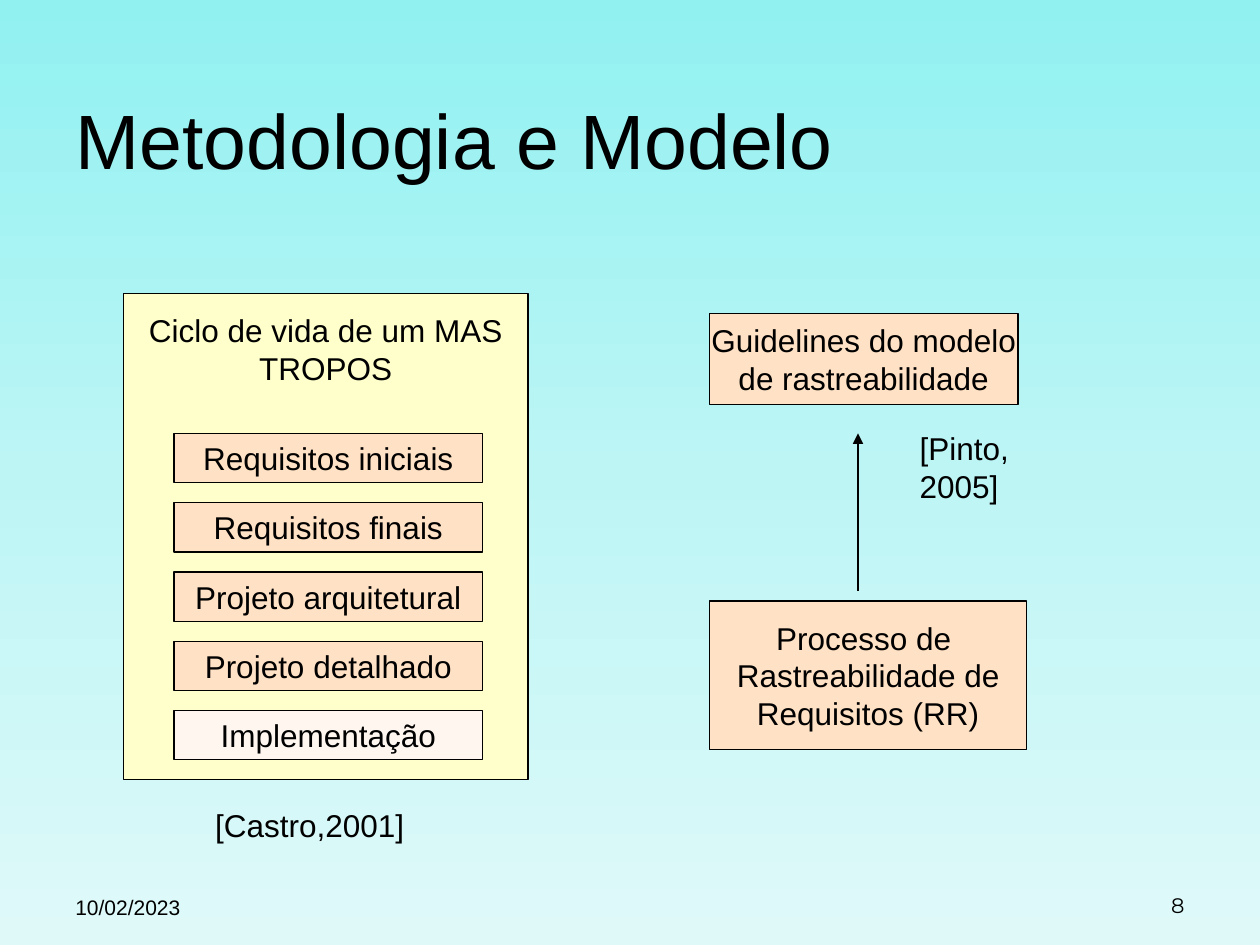
"""Build the slide on the methodology and the traceability model."""
import copy
from dataclasses import dataclass

import pptx
import pptx.dml.color
import pptx.enum.shapes
import pptx.enum.text
import pptx.oxml
import pptx.oxml.ns
import pptx.slide
import pptx.text.text
import pptx.util
from pptx.util import Inches

ALIGN = pptx.enum.text.PP_ALIGN
ANCHOR = pptx.enum.text.MSO_ANCHOR
BLACK = "000000"
PEACH = "FFE2C5"


@dataclass
class Box:
    text: str
    left: float
    top: float
    width: float
    height: float
    fill: str = PEACH
    anchor: ANCHOR = ANCHOR.MIDDLE
    inset: float = 0.05


@dataclass
class Label:
    text: str
    left: float
    top: float
    width: float
    height: float
    size: int = 18
    font: str = "Arial"
    align: ALIGN = ALIGN.LEFT
    anchor: ANCHOR = ANCHOR.TOP


def color(value: str) -> pptx.dml.color.RGBColor:
    return pptx.dml.color.RGBColor.from_string(value)


def write(frame: pptx.text.text.TextFrame, text: str, size: int,
          align: ALIGN, anchor: ANCHOR, font: str = "Arial") -> None:
    frame.text = text
    frame.vertical_anchor = anchor
    for paragraph in frame.paragraphs:
        paragraph.alignment = align
        paragraph.font.name = font
        paragraph.font.size = pptx.util.Pt(size)
        paragraph.font.color.rgb = color(BLACK)


def add_box(page: pptx.slide.Slide, box: Box) -> None:
    shape = page.shapes.add_shape(
        pptx.enum.shapes.MSO_SHAPE.RECTANGLE, Inches(box.left), Inches(box.top),
        Inches(box.width), Inches(box.height))
    shape.shadow.inherit = False
    shape.fill.solid()
    shape.fill.fore_color.rgb = color(box.fill)
    shape.line.color.rgb = color(BLACK)
    shape.line.width = pptx.util.Pt(0.75)
    write(shape.text_frame, box.text, 18, ALIGN.CENTER, box.anchor)
    shape.text_frame.word_wrap = False
    shape.text_frame.margin_top = Inches(box.inset)


def add_label(page: pptx.slide.Slide, label: Label) -> None:
    shape = page.shapes.add_textbox(
        Inches(label.left), Inches(label.top), Inches(label.width), Inches(label.height))
    write(shape.text_frame, label.text, label.size, label.align, label.anchor, label.font)
    shape.text_frame.word_wrap = label.size < 18


def add_arrow(page: pptx.slide.Slide, x: float, start: float, end: float) -> None:
    arrow = page.shapes.add_connector(
        pptx.enum.shapes.MSO_CONNECTOR.STRAIGHT,
        Inches(x), Inches(start), Inches(x), Inches(end))
    arrow.line.color.rgb = color(BLACK)
    arrow.line.width = pptx.util.Pt(0.75)
    namespace = pptx.oxml.ns.nsdecls("a")
    arrow.line._get_or_add_ln().append(
        pptx.oxml.parse_xml(f'<a:tailEnd {namespace} type="triangle"/>'))
    arrow.element.spPr.append(pptx.oxml.parse_xml(f"<a:effectLst {namespace}/>"))


def paint_background(page: pptx.slide.Slide, colors: list[str]) -> None:
    fill = page.background.fill
    fill.gradient()
    fill.gradient_angle = 270
    first = page.element.xpath(".//p:bg//a:gs")[0]
    for _ in colors[2:]:
        first.addnext(copy.deepcopy(first))
    for index, (stop, value) in enumerate(zip(fill.gradient_stops, colors)):
        stop.position = index / (len(colors) - 1)
        stop.color.rgb = color(value)


def add_title(page: pptx.slide.Slide, text: str) -> None:
    title = page.shapes.title
    title.left, title.top = Inches(0.5), Inches(0.5)
    title.width, title.height = Inches(9), Inches(1.2)
    write(title.text_frame, text, 44, ALIGN.LEFT, ANCHOR.MIDDLE)


def main() -> None:
    deck = pptx.Presentation()
    deck.slide_width, deck.slide_height = Inches(10), Inches(7.5)
    page = deck.slides.add_slide(deck.slide_layouts.get_by_name("Title Only"))
    paint_background(page, ["91F1F1", "BDF5F5", "DFF9F9"])
    add_title(page, "Metodologia e Modelo")

    phases = ["Requisitos iniciais", "Requisitos finais", "Projeto arquitetural",
              "Projeto detalhado", "Implementação"]
    boxes = [Box("Ciclo de vida de um MAS\nTROPOS", 0.98, 2.33, 3.21, 3.86,
                 "FFFFCC", ANCHOR.TOP, 0.14)]
    boxes += [Box(phase, 1.38, 3.44 + 0.55 * row, 2.45, 0.39,
                  "FFF7EF" if phase == "Implementação" else PEACH)
              for row, phase in enumerate(phases)]
    boxes += [
        Box("Guidelines do modelo\nde rastreabilidade", 5.63, 2.49, 2.45, 0.72),
        Box("Processo de \nRastreabilidade de\nRequisitos (RR)", 5.63, 4.77, 2.52, 1.18),
    ]
    for box in boxes:
        add_box(page, box)
    add_arrow(page, 6.81, 4.69, 3.44)

    labels = [
        Label("[Castro,2001]", 1.61, 6.35, 1.7, 0.4),
        Label("[Pinto, 2005]", 7.2, 3.36, 1.6, 0.4),
        Label("10/02/2023", 0.5, 6.83, 2.33, 0.52, 12, anchor=ANCHOR.BOTTOM),
        Label("8", 7.17, 6.83, 2.33, 0.5, 12, "Montserrat", ALIGN.RIGHT, ANCHOR.BOTTOM),
    ]
    for label in labels:
        add_label(page, label)
    deck.save("out.pptx")


if __name__ == "__main__":
    main()
